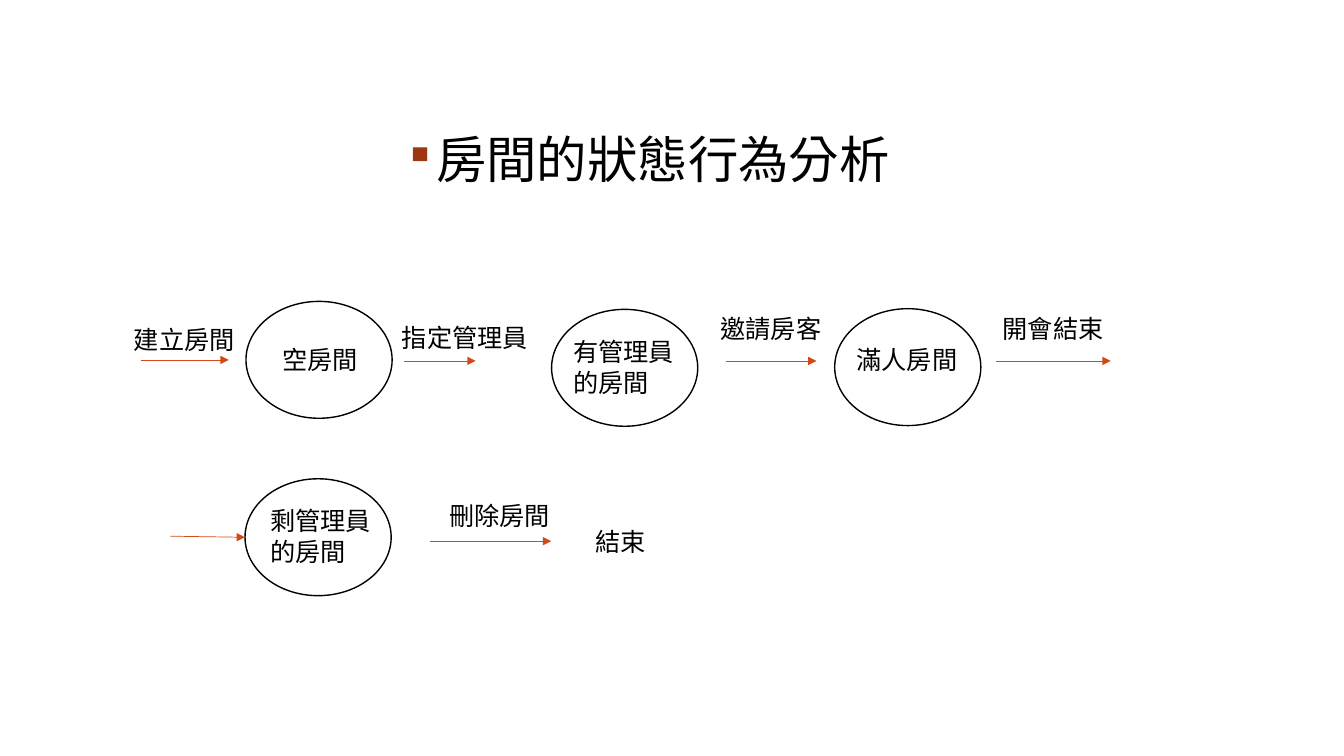
from lxml.etree import SubElement
from pptx import Presentation
from pptx.dml.color import RGBColor
from pptx.enum.shapes import MSO_CONNECTOR, MSO_SHAPE
from pptx.enum.text import MSO_ANCHOR, MSO_AUTO_SIZE, PP_ALIGN
from pptx.oxml.ns import qn
from pptx.util import Pt

FONT = "Roboto Slab"
BLACK, RUST, ORANGE = "000000", "9E3611", "D34817"
STATE_W, STATE_H = 104.4, 83.5
CHAR, INSET, LINE_H = 18, 7.2, 22

TITLE = ("房間的狀態行為分析", 281.5, 92.9, 381.6, 46.8)
STATES = [(175.7, 215.3), (394, 221), (596.2, 220.5), (175, 342)]
LABELS = [
    ("建立房間", 88.6, 228.4),
    ("空房間", 194.4, 242.5),
    ("指定管理員", 280, 226.5),
    ("有管理員\n的房間", 402.5, 236.9),
    ("邀請房客", 507.6, 220.3),
    ("滿人房間", 604.8, 242.5),
    ("開會結束", 709.2, 220.3),
    ("剩管理員\n的房間", 185.8, 357.7),
    ("刪除房間", 313.9, 353.5),
    ("結束", 418.3, 372.3),
]
ARROWS = [
    (100.8, 257.1, 163.4, 257.1),
    (288.7, 257.8, 339.8, 257.8),
    (518.4, 257.8, 583.2, 257.8),
    (711.4, 257.8, 793.4, 257.8),
    (121.7, 383, 175, 383.8),
    (307.4, 386.6, 393.8, 386.6),
]


def color(value):
    return RGBColor.from_string(value)


def apply(target, values):
    for name, value in values.items():
        setattr(target, name, value)


def style_run(r, size):
    apply(r.font, {"size": Pt(size), "name": FONT, "bold": False})
    r.font.color.rgb = color(BLACK)
    rPr = r.font._element
    rPr.set("lang", "zh-TW")
    SubElement(rPr, qn("a:ea"), typeface=FONT)


def add_bullet(p, char, value, percent):
    pPr = p._p.get_or_add_pPr()
    pPr.set("marL", str(Pt(14.4)))
    pPr.set("indent", str(Pt(-14.4)))
    buClr = SubElement(pPr, qn("a:buClr"))
    SubElement(buClr, qn("a:srgbClr"), val=value)
    SubElement(pPr, qn("a:buSzPct"), val=str(percent * 1000))
    SubElement(pPr, qn("a:buChar"), char=char)


def set_title(s, text, x, y, w, h):
    sp = s.shapes.title
    apply(sp, {"left": Pt(x), "top": Pt(y), "width": Pt(w), "height": Pt(h)})
    tf = sp.text_frame
    tf.text = text
    apply(tf, {"word_wrap": True, "vertical_anchor": MSO_ANCHOR.TOP,
               "auto_size": MSO_AUTO_SIZE.SHAPE_TO_FIT_TEXT})
    p = tf.paragraphs[0]
    apply(p, {"alignment": PP_ALIGN.LEFT, "line_spacing": 0.9, "space_before": Pt(12)})
    add_bullet(p, "▪", RUST, 85)
    style_run(p.runs[0], 36)


def add_state(s, x, y):
    sp = s.shapes.add_shape(MSO_SHAPE.OVAL, Pt(x), Pt(y), Pt(STATE_W), Pt(STATE_H))
    sp.shadow.inherit = False
    sp.fill.background()
    sp.line.color.rgb = color(BLACK)
    sp.line.width = Pt(1)


def add_label(s, text, x, y):
    lines = text.split("\n")
    w = max(map(len, lines)) * CHAR + 2 * INSET
    h = len(lines) * LINE_H + INSET
    tf = s.shapes.add_textbox(Pt(x), Pt(y), Pt(w), Pt(h)).text_frame
    tf.text = text
    apply(tf, {"word_wrap": False, "auto_size": MSO_AUTO_SIZE.SHAPE_TO_FIT_TEXT})
    for p in tf.paragraphs:
        style_run(p.runs[0], CHAR)


def add_arrow(s, x1, y1, x2, y2):
    cx = s.shapes.add_connector(MSO_CONNECTOR.STRAIGHT, Pt(x1), Pt(y1), Pt(x2), Pt(y2))
    cx.line.color.rgb = color(ORANGE)
    cx.line.width = Pt(0.5)
    SubElement(cx.line._get_or_add_ln(), qn("a:tailEnd"), type="triangle")
    SubElement(cx._element.spPr, qn("a:effectLst"))


def main():
    prs = Presentation()
    apply(prs, {"slide_width": Pt(960), "slide_height": Pt(540)})
    s = prs.slides.add_slide(prs.slide_layouts[5])
    set_title(s, *TITLE)
    for state in STATES:
        add_state(s, *state)
    for label in LABELS:
        add_label(s, *label)
    for arrow in ARROWS:
        add_arrow(s, *arrow)
    prs.save("out.pptx")


if __name__ == "__main__":
    main()
